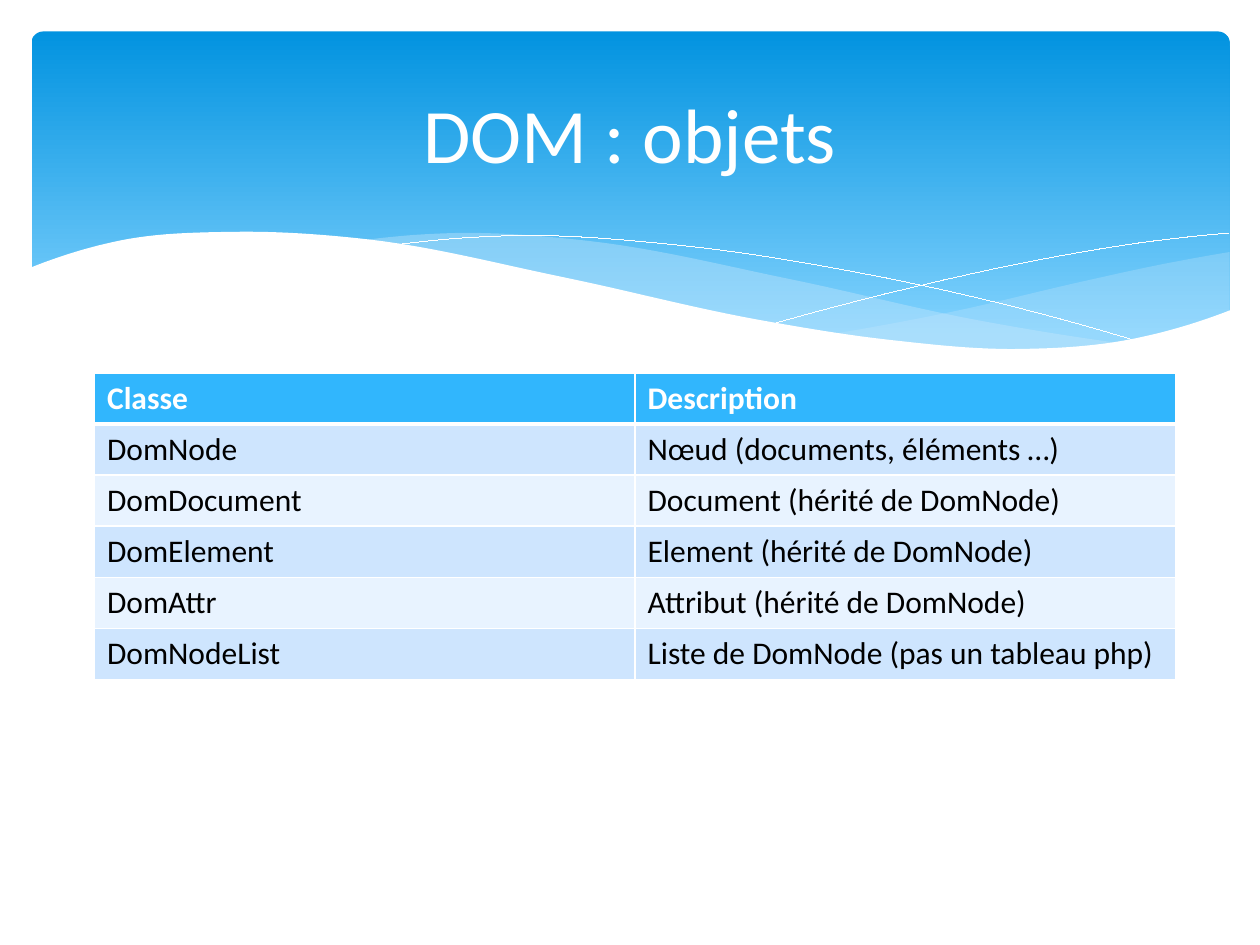
from dataclasses import dataclass

from lxml.etree import SubElement
from pptx import Presentation
from pptx.dml.color import RGBColor
from pptx.enum.shapes import MSO_SHAPE
from pptx.enum.text import MSO_ANCHOR, PP_ALIGN
from pptx.oxml.ns import qn
from pptx.slide import Slide
from pptx.util import Inches, Pt

WHITE = "FFFFFF"
BLACK = "000000"
CLASSES = [
    ("Classe", "Description"),
    ("DomNode", "Nœud (documents, éléments …)"),
    ("DomDocument", "Document (hérité de DomNode)"),
    ("DomElement", "Element (hérité de DomNode)"),
    ("DomAttr", "Attribut (hérité de DomNode)"),
    ("DomNodeList", "Liste de DomNode (pas un tableau php)"),
]

# Each edge needs only a few knots (x, y) in inches, from left to right.
RIGHT_WAVE_TOP = [(6.61, 2.65), (7.53, 2.48), (8.61, 2.23), (9.21, 2.1), (9.76, 2)]
RIGHT_WAVE_BOTTOM = [(6.61, 2.65), (7.32, 2.74), (8.08, 2.78), (8.89, 2.72), (9.76, 2.47)]
MIDDLE_WAVE_TOP = [(2.86, 1.91), (3.61, 1.85), (4.65, 1.91), (6.29, 2.22), (7.75, 2.54), (8.93, 2.73)]
MIDDLE_WAVE_BOTTOM = [(2.86, 1.91), (4.49, 2.22), (6.01, 2.55), (7.09, 2.72), (8.13, 2.78), (8.93, 2.73)]
FALLING_CURVE = [(3.09, 1.95), (4.1, 1.87), (5.33, 1.94), (6.95, 2.19), (7.95, 2.41), (9.07, 2.72)]
RISING_CURVE = [(6.13, 2.57), (7.2, 2.29), (8.36, 2.04), (9.1, 1.92), (9.75, 1.85)]
WHITE_WAVE_TOP = [
    (0.23, 2.13), (0.95, 1.91), (1.85, 1.84), (2.92, 1.9), (4.47, 2.2),
    (6.03, 2.54), (7.08, 2.7), (8.09, 2.77), (8.99, 2.69), (9.77, 2.46),
]
WHITE_WAVE_BOTTOM = [(0.23, 3.29), (9.77, 3.29)]


def color(hex_value):
    return RGBColor.from_string(hex_value)


def knot_slopes(knots):
    """Weigh the slopes on both sides of each knot, and extrapolate to the ends."""
    spans = [(x2 - x1, (y2 - y1) / (x2 - x1)) for (x1, y1), (x2, y2) in zip(knots, knots[1:])]
    if len(spans) == 1:
        return [spans[0][1]] * 2
    inner = [(w2 * s1 + w1 * s2) / (w1 + w2) for (w1, s1), (w2, s2) in zip(spans, spans[1:])]
    return [2 * spans[0][1] - inner[0], *inner, 2 * spans[-1][1] - inner[-1]]


def smooth(knots, steps=12):
    """Return points on a cubic Hermite curve through the knots."""
    slopes = knot_slopes(knots)
    points = [knots[0]]
    for index, ((x1, y1), (x2, y2)) in enumerate(zip(knots, knots[1:])):
        width = x2 - x1
        for step in range(1, steps + 1):
            t = step / steps
            ease = t * t * (3 - 2 * t)
            bend = t * (1 - t) * ((1 - t) * slopes[index] - t * slopes[index + 1])
            points.append((x1 + t * width, y1 + ease * (y2 - y1) + width * bend))
    return points


def write(text_frame, text, font, size=18, fill=BLACK, bold=False, align=PP_ALIGN.LEFT):
    paragraph = text_frame.paragraphs[0]
    paragraph.alignment = align
    run = paragraph.add_run()
    run.text = text
    run.font.name = font
    run.font.size = Pt(size)
    run.font.bold = bold
    run.font.color.rgb = color(fill)


def add_border(cell, side, width):
    """Draw a white border on one side (L, R, T or B) of a cell."""
    line = SubElement(cell._tc.get_or_add_tcPr(), qn(f"a:ln{side}"), w=str(Pt(width)))
    SubElement(SubElement(line, qn("a:solidFill")), qn("a:srgbClr"), val=WHITE)


@dataclass
class SlideBuilder:
    slide: Slide
    font: str = "Calibri"
    banner_top: str = "0293E0"
    banner_bottom: str = "83D3FE"
    header_fill: str = "31B6FD"
    row_fills: tuple = ("CEE5FE", "E8F3FF")

    def banner(self, left, top, width, height):
        shape = self.slide.shapes.add_shape(
            MSO_SHAPE.ROUNDED_RECTANGLE, Inches(left), Inches(top), Inches(width), Inches(height))
        shape.adjustments[0] = 0.034
        shape.shadow.inherit = False
        shape.line.fill.background()
        shape.fill.gradient()
        shape.fill.gradient_angle = 270
        first, last = shape.fill.gradient_stops
        first.position, last.position = 0, 0.9
        first.color.rgb, last.color.rgb = color(self.banner_top), color(self.banner_bottom)

    def outline(self, points, close):
        start, *others = [(Inches(x), Inches(y)) for x, y in points]
        builder = self.slide.shapes.build_freeform(*start)
        builder.add_line_segments(others, close=close)
        shape = builder.convert_to_shape()
        shape.shadow.inherit = False
        return shape

    def wave(self, top_knots, bottom_knots, fill, opacity=100):
        """Fill the area between two smooth edges."""
        shape = self.outline(smooth(top_knots) + smooth(bottom_knots)[::-1], close=True)
        shape.line.fill.background()
        shape.fill.solid()
        shape.fill.fore_color.rgb = color(fill)
        if opacity < 100:
            rgb = shape._element.spPr.find(f"{qn('a:solidFill')}/{qn('a:srgbClr')}")
            SubElement(rgb, qn("a:alpha"), val=str(opacity * 1000))

    def curve(self, knots):
        shape = self.outline(smooth(knots), close=False)
        shape.fill.background()
        shape.line.color.rgb = color(WHITE)
        shape.line.width = Pt(0.01)

    def table(self, rows, left, top, column_width, row_height):
        columns = len(rows[0])
        table = self.slide.shapes.add_table(
            len(rows), columns, Inches(left), Inches(top),
            Inches(column_width * columns), Inches(row_height * len(rows))).table
        for row_index, row in enumerate(rows):
            for column_index, text in enumerate(row):
                self.cell(table.cell(row_index, column_index), text, row_index)

    def cell(self, cell, text, row_index):
        header = row_index == 0
        thick_side = {0: "B", 1: "T"}.get(row_index)
        for side in "LRTB":
            add_border(cell, side, 3 if side == thick_side else 1)
        cell.fill.solid()
        cell.fill.fore_color.rgb = color(
            self.header_fill if header else self.row_fills[(row_index - 1) % 2])
        write(cell.text_frame, text, self.font, fill=WHITE if header else BLACK, bold=header)

    def title(self, text, left, top, width, height):
        title = self.slide.shapes.title
        title.left, title.top = Inches(left), Inches(top)
        title.width, title.height = Inches(width), Inches(height)
        title.text_frame.vertical_anchor = MSO_ANCHOR.MIDDLE
        write(title.text_frame, text, self.font, size=44, fill=WHITE, align=PP_ALIGN.CENTER)
        # The placeholder comes first in the tree; bring it in front of the banner.
        self.slide.shapes._spTree.append(title._element)


def main():
    presentation = Presentation()
    presentation.slide_width, presentation.slide_height = Inches(10), Inches(7.5)
    builder = SlideBuilder(presentation.slides.add_slide(presentation.slide_layouts[5]))
    builder.banner(0.25, 0.25, 9.51, 2.7)
    builder.wave(RIGHT_WAVE_TOP, RIGHT_WAVE_BOTTOM, "C6E7FC", opacity=29)
    builder.wave(MIDDLE_WAVE_TOP, MIDDLE_WAVE_BOTTOM, "C6E7FC", opacity=40)
    for knots in (FALLING_CURVE, RISING_CURVE):
        builder.curve(knots)
    builder.wave(WHITE_WAVE_TOP, WHITE_WAVE_BOTTOM, WHITE)
    builder.table(CLASSES, 0.75, 2.96, column_width=4.29, row_height=0.4)
    builder.title("DOM : objets", 0.5, 0.37, 9, 1.37)
    presentation.save("out.pptx")


if __name__ == "__main__":
    main()
